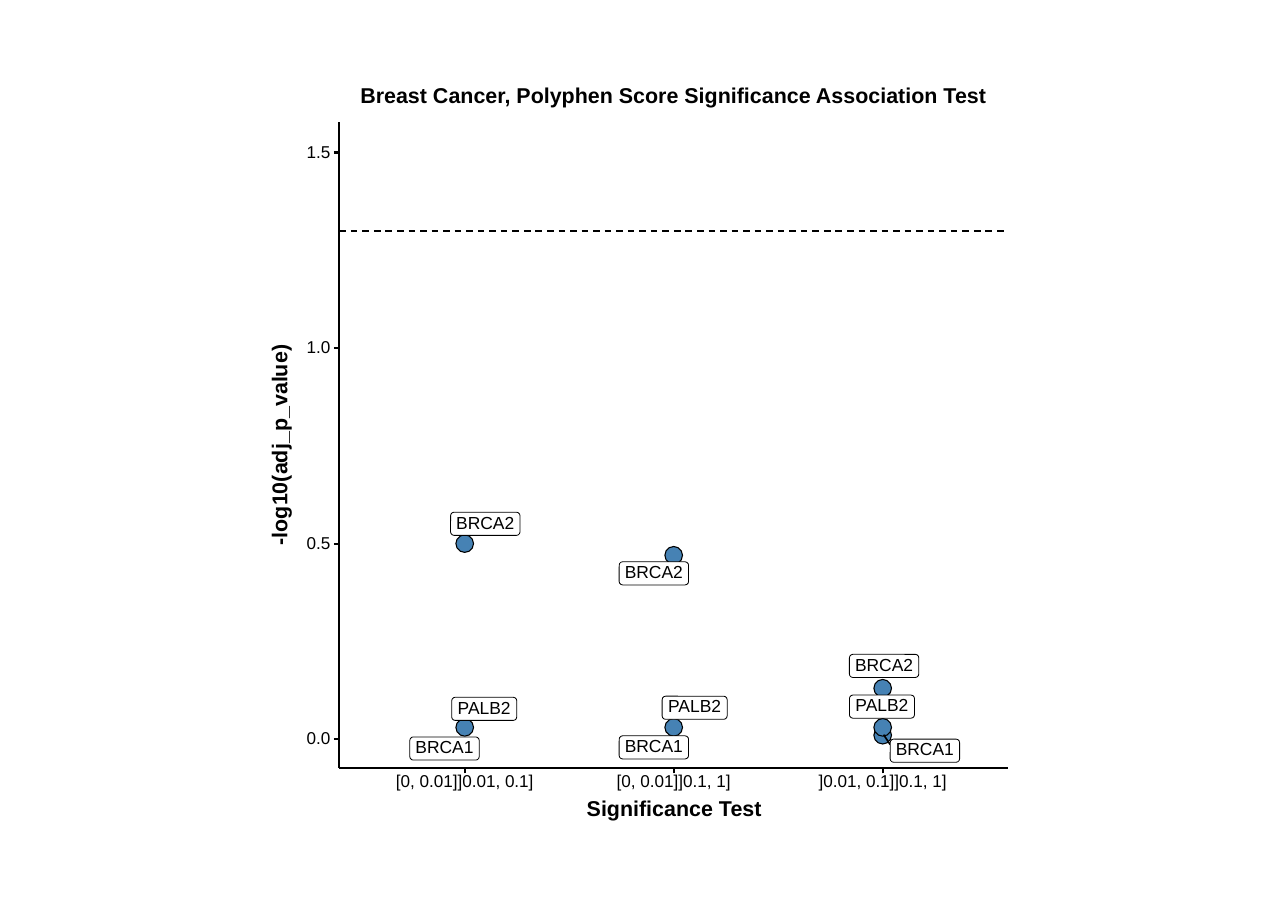
from dataclasses import dataclass
from typing import NamedTuple

from pptx import Presentation
from pptx.dml.color import RGBColor
from pptx.enum.dml import MSO_LINE
from pptx.enum.shapes import MSO_CONNECTOR, MSO_SHAPE
from pptx.enum.text import MSO_ANCHOR, MSO_AUTO_SIZE, PP_ALIGN
from pptx.oxml.xmlchemy import OxmlElement
from pptx.slide import Slide
from pptx.util import Inches, Pt

DASH = MSO_LINE.DASH
STRAIGHT = MSO_CONNECTOR.STRAIGHT
OVAL, ROUND = MSO_SHAPE.OVAL, MSO_SHAPE.ROUNDED_RECTANGLE
MIDDLE, CENTER, FIXED = MSO_ANCHOR.MIDDLE, PP_ALIGN.CENTER, MSO_AUTO_SIZE.NONE


@dataclass(frozen=True)
class Theme:
    font: str = "Arial"
    ink: RGBColor = RGBColor(0, 0, 0)
    paper: RGBColor = RGBColor(255, 255, 255)
    blue: RGBColor = RGBColor(0x46, 0x82, 0xB4)
    head: float = 14
    tick: float = 11.2
    tag: float = 11.4
    axis: float = 1.36
    rule: float = 1.07
    ring: float = 0.71
    edge: float = 0.53


class Box(NamedTuple):
    left: float
    top: float
    width: float
    height: float


class Gene(NamedTuple):
    name: str
    test: int
    score: float
    left: float
    top: float


class Test(NamedTuple):
    name: str
    width: float


THEME = Theme()
LEFT, RIGHT, TOP, BASE = 3.08, 9.15, 1.11, 6.97
STEP = (RIGHT - LEFT) / 3.2
TICK, DOT, TAG = 0.05, 0.16, 0.21
LIMIT = 1.3
WIDTHS = {"BRCA1": 0.63, "BRCA2": 0.63, "PALB2": 0.59}
TESTS = [
    Test("[0, 0.01]]0.01, 0.1]", 1.25),
    Test("[0, 0.01]]0.1, 1]", 1.04),
    Test("]0.01, 0.1]]0.1, 1]", 1.17),
]
GENES = [
    Gene("BRCA1", 0, 0.03, 3.72, 6.69),
    Gene("BRCA2", 0, 0.5, 4.09, 4.65),
    Gene("PALB2", 0, 0.03, 4.1, 6.33),
    Gene("BRCA1", 1, 0.03, 5.62, 6.68),
    Gene("BRCA2", 1, 0.47, 5.62, 5.1),
    Gene("PALB2", 1, 0.03, 6.01, 6.32),
    Gene("BRCA1", 2, 0.01, 8.08, 6.71),
    Gene("BRCA2", 2, 0.13, 7.71, 5.94),
    Gene("PALB2", 2, 0.03, 7.71, 6.31),
]


def to_x(test: int) -> float:
    return LEFT + STEP * (test + 0.6)


def to_y(score: float) -> float:
    return 6.71 - 3.55 * score


def place(shape, box: Box) -> None:
    shape.left, shape.top, shape.width, shape.height = map(Inches, box)


def write(shape, text: str, *, size: float, bold: bool = False) -> None:
    frame = shape.text_frame
    frame.margin_left = frame.margin_right = 0
    frame.margin_top = frame.margin_bottom = 0
    frame.word_wrap = False
    frame.auto_size = FIXED
    frame.vertical_anchor = MIDDLE
    line = frame.paragraphs[0]
    line.text = text
    line.alignment = CENTER
    line.line_spacing = Pt(size)
    font = line.font
    font.name, font.size, font.bold = THEME.font, Pt(size), bold
    font.color.rgb = THEME.ink


def add_text(slide: Slide, text: str, box: Box, *, size: float,
             bold: bool = False, turn: float = 0) -> None:
    shape = slide.shapes.add_textbox(*map(Inches, box))
    shape.rotation = turn
    write(shape, text, size=size, bold=bold)


def add_shape(slide: Slide, kind: MSO_SHAPE, box: Box, fill: RGBColor, width: float):
    shape = slide.shapes.add_shape(kind, *map(Inches, box))
    shape.shadow.inherit = False
    shape.fill.solid()
    shape.fill.fore_color.rgb = fill
    shape.line.color.rgb = THEME.ink
    shape.line.width = Pt(width)
    return shape


def add_line(slide: Slide, x1: float, y1: float, x2: float, y2: float, *,
             width: float = THEME.axis, dash: bool = False) -> None:
    line = slide.shapes.add_connector(STRAIGHT, *map(Inches, (x1, y1, x2, y2)))
    line.line.color.rgb = THEME.ink
    line.line.width = Pt(width)
    if dash:
        line.line.dash_style = DASH
    line._element.spPr.append(OxmlElement("a:effectLst"))


def add_dots(slide: Slide) -> None:
    spots = dict.fromkeys((gene.test, gene.score) for gene in GENES)
    for test, score in spots:
        box = Box(to_x(test) - DOT / 2, to_y(score) - DOT / 2, DOT, DOT)
        add_shape(slide, OVAL, box, THEME.blue, THEME.ring)


def add_tags(slide: Slide) -> None:
    for gene in GENES:
        box = Box(gene.left, gene.top, WIDTHS[gene.name], TAG)
        tag = add_shape(slide, ROUND, box, THEME.paper, THEME.edge)
        tag.adjustments[0] = 0.15
        write(tag, gene.name, size=THEME.tag)


def add_axes(slide: Slide) -> None:
    add_line(slide, LEFT, BASE, LEFT, TOP)
    for step in range(4):
        score = step / 2
        y = to_y(score)
        add_text(slide, f"{score:.1f}", Box(2.78, y - 0.05, 0.22, 0.11), size=THEME.tick)
        add_line(slide, LEFT - TICK, y, LEFT, y)
    add_line(slide, LEFT, BASE, RIGHT, BASE)
    for rank, test in enumerate(TESTS):
        x = to_x(rank)
        add_line(slide, x, BASE + TICK, x, BASE)
        box = Box(x - test.width / 2, 7.03, test.width, 0.14)
        add_text(slide, test.name, box, size=THEME.tick)
    add_text(slide, "Significance Test", Box(5.32, 7.26, 1.6, 0.19),
             size=THEME.head, bold=True)
    add_text(slide, "-log10(adj_p_value)", Box(1.64, 3.95, 1.82, 0.18),
             size=THEME.head, bold=True, turn=270)


def main() -> None:
    deck = Presentation()
    deck.slide_width, deck.slide_height = Inches(11.69), Inches(8.27)
    slide = deck.slides.add_slide(deck.slide_layouts[5])
    title = slide.shapes.title
    place(title, Box(3.26, 0.79, 5.71, 0.19))
    write(title, "Breast Cancer, Polyphen Score Significance Association Test",
          size=THEME.head, bold=True)
    add_dots(slide)
    add_line(slide, LEFT, to_y(LIMIT), RIGHT, to_y(LIMIT), width=THEME.rule, dash=True)
    add_line(slide, 8.08, 6.76, 8.02, 6.67, width=THEME.rule)
    add_tags(slide)
    add_axes(slide)
    deck.save("out.pptx")


if __name__ == "__main__":
    main()
